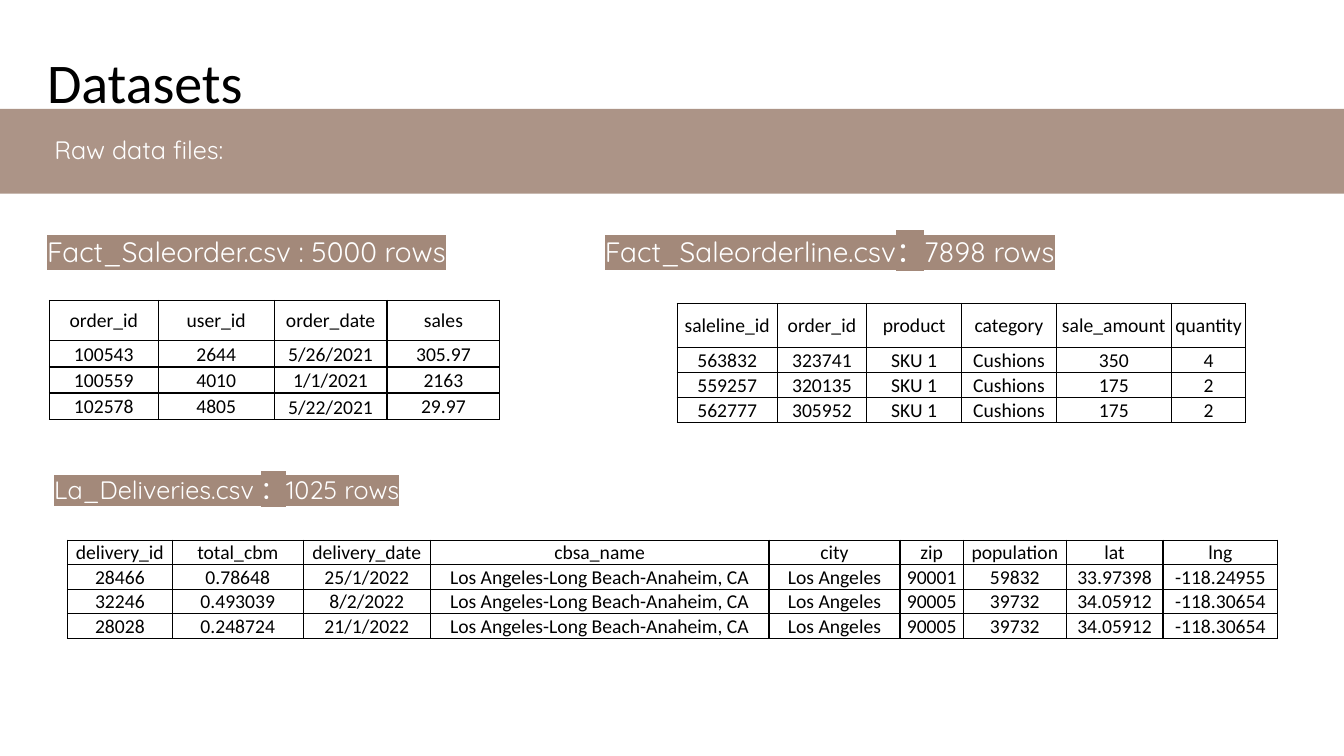
from lxml import etree
from pptx import Presentation, util as u
from pptx.dml.color import RGBColor
from pptx.enum import shapes, text
from pptx.oxml import ns

BLACK = RGBColor(0x00, 0x00, 0x00)
WHITE = RGBColor(0xFF, 0xFF, 0xFF)
BROWN = RGBColor(0xA3, 0x89, 0x7A)

TITLE = dict(name="Calibri", size=u.Pt(40))
BODY = dict(name="Quicksand", size=u.Pt(20))
LABEL = dict(name="Quicksand", size=u.Pt(18))
CELL = dict(name="Calibri", size=u.Pt(14), bold=False)

SALEORDER = [
    ["order_id", "user_id", "order_date", "sales"],
    ["100543", "2644", "5/26/2021", "305.97"],
    ["100559", "4010", "1/1/2021", "2163"],
    ["102578", "4805", "5/22/2021", "29.97"],
]
SALEORDERLINE = [
    ["saleline_id", "order_id", "product", "category", "sale_amount", "quantity"],
    ["563832", "323741", "SKU 1", "Cushions", "350", "4"],
    ["559257", "320135", "SKU 1", "Cushions", "175", "2"],
    ["562777", "305952", "SKU 1", "Cushions", "175", "2"],
]
AREA = ["Los Angeles-Long Beach-Anaheim, CA", "Los Angeles"]
DELIVERIES = [
    ["delivery_id", "total_cbm", "delivery_date", "cbsa_name", "city", "zip",
     "population", "lat", "lng"],
    ["28466", "0.78648", "25/1/2022", *AREA, "90001", "59832", "33.97398", "-118.24955"],
    ["32246", "0.493039", "8/2/2022", *AREA, "90005", "39732", "34.05912", "-118.30654"],
    ["28028", "0.248724", "21/1/2022", *AREA, "90005", "39732", "34.05912", "-118.30654"],
]


def sub(parent, tag, **attrs):
    """Append a DrawingML child element and return it."""
    return etree.SubElement(parent, ns.qn("a:" + tag), attrs)


def add_run(p, words, fmt, color, highlight=None):
    """Add a formatted run, optionally on a highlight colour."""
    r = p.add_run()
    r.text = words
    r.font.color.rgb = color
    if highlight is not None:
        rPr = r.font._element
        mark = sub(rPr, "highlight")
        sub(mark, "srgbClr", val=str(highlight))
    for key, value in fmt.items():
        setattr(r.font, key, value)


def add_text(s, x, y, w, h, runs, fmt, color, highlight=None, para=None,
             anchor=text.MSO_ANCHOR.TOP, tab=None):
    """Place one paragraph in a box, with its runs parted by tabs."""
    tf = s.shapes.add_textbox(u.Pt(x), u.Pt(y), u.Pt(w), u.Pt(h)).text_frame
    tf.word_wrap = True
    tf.vertical_anchor = anchor
    p = tf.paragraphs[0]
    for key, value in (para or {}).items():
        setattr(p, key, value)
    if tab:
        tabs = sub(p._p.get_or_add_pPr(), "tabLst")
        sub(tabs, "tab", pos=str(u.Pt(tab)), algn="l")
    for i, words in enumerate(runs):
        if i:
            add_run(p, "\t", fmt, color)
        add_run(p, words, fmt, color, highlight)


def add_band(s, x, y, w, h, label):
    """Draw the translucent band and its label."""
    sp = s.shapes.add_shape(shapes.MSO_SHAPE.RECTANGLE, u.Pt(x), u.Pt(y), u.Pt(w), u.Pt(h))
    sp.shadow.inherit = False
    sp.fill.solid()
    sp.fill.fore_color.rgb = BROWN
    sp.line.fill.background()
    clr = sp._element.spPr.find(".//" + ns.qn("a:srgbClr"))
    sub(clr, "alpha", val="90000")
    add_text(s, x + 31.7, y + 14.4, 301.7, 51, [label], LABEL, WHITE)


def add_border(cell):
    """Rule all four sides of a cell in black."""
    for side in ("lnL", "lnR", "lnT", "lnB"):
        ln = sub(cell._tc.get_or_add_tcPr(), side, w=str(u.Pt(1)))
        sub(sub(ln, "solidFill"), "srgbClr", val=str(BLACK))


def add_data_table(s, x, y, widths, head_h, row_h, rows, bottom_cols=()):
    """Place a ruled table whose size follows its columns and rows."""
    height = head_h + row_h * (len(rows) - 1)
    tbl = s.shapes.add_table(len(rows), len(widths), u.Pt(x), u.Pt(y),
                             u.Pt(sum(widths)), u.Pt(height)).table
    tbl.first_row = tbl.horz_banding = False
    for column, width in zip(tbl.columns, widths):
        column.width = u.Pt(width)
    for i, row in enumerate(rows):
        tbl.rows[i].height = u.Pt(row_h if i else head_h)
        for j, words in enumerate(row):
            cell = tbl.cell(i, j)
            low = i and j in bottom_cols
            fmt = dict(margin_left=u.Pt(0.7), margin_right=u.Pt(0.7),
                       margin_top=u.Pt(0.7), margin_bottom=0,
                       vertical_anchor=text.MSO_ANCHOR.BOTTOM if low
                       else text.MSO_ANCHOR.MIDDLE)
            for key, value in fmt.items():
                setattr(cell, key, value)
            add_border(cell)
            cell.fill.background()
            p = cell.text_frame.paragraphs[0]
            p.alignment = text.PP_ALIGN.CENTER
            add_run(p, words, CELL, BLACK)


def datasets_slide(prs):
    """Build the slide that lists the raw data files."""
    s = prs.slides.add_slide(prs.slide_layouts[6])
    add_text(s, 26.6, 8.6, 828, 104.4, ["Datasets"], TITLE, BLACK,
             para=dict(line_spacing=0.9), anchor=text.MSO_ANCHOR.MIDDLE)
    add_text(s, 26.6, 167, 915, 39.6,
             ["Fact_Saleorder.csv : 5000 rows", "Fact_Saleorderline.csv：7898 rows"],
             BODY, WHITE, BROWN, dict(line_spacing=0.9, space_before=u.Pt(10)), tab=398.4)
    add_band(s, 0, 77.8, 960, 60.5, "Raw data files:")
    add_data_table(s, 35.3, 214.6, [77.8, 82.8, 80.6, 80.6], 28.8, 18.7,
                   SALEORDER, bottom_cols=(2,))
    add_data_table(s, 483.8, 216.7, [71.3, 64.1, 67.7, 67.7, 82.1, 53.3], 31.7, 17.8,
                   SALEORDERLINE)
    add_text(s, 31.7, 335.5, 357, 28.8, ["La_Deliveries.csv ：1025 rows"],
             LABEL, WHITE, BROWN)
    add_data_table(s, 48.2, 385.9, [74.9, 93.6, 90.7, 241.9, 93.6, 45.4, 73.4, 69.1, 82.1],
                   17.1, 17.1, DELIVERIES)


def main():
    """Create the presentation and save it."""
    prs = Presentation()
    prs.slide_width, prs.slide_height = u.Pt(960), u.Pt(540)
    datasets_slide(prs)
    prs.save("out.pptx")


if __name__ == "__main__":
    main()
